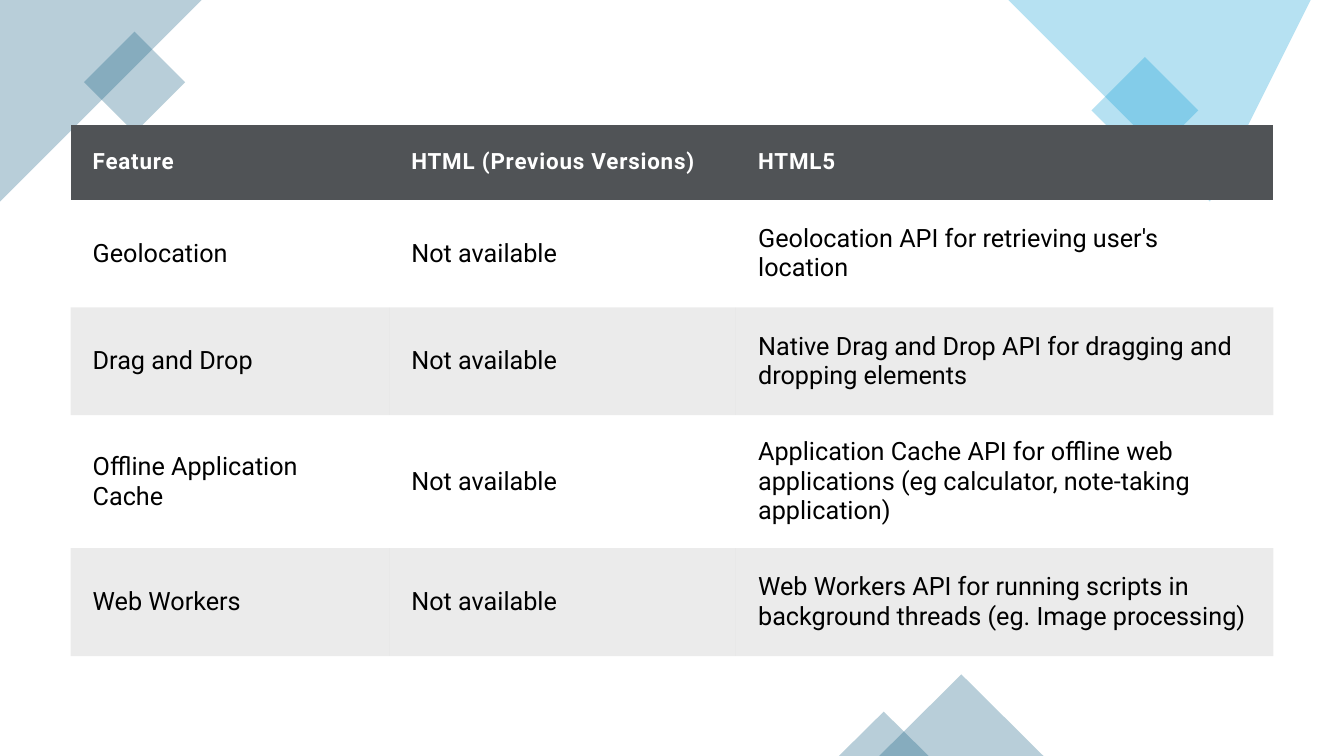
from lxml import etree
from pptx import Presentation
from pptx.dml.color import RGBColor
from pptx.enum.shapes import MSO_SHAPE
from pptx.enum.text import MSO_ANCHOR
from pptx.oxml.ns import qn
from pptx.util import Inches, Pt

RECTANGLE = MSO_SHAPE.RECTANGLE
TRIANGLE = MSO_SHAPE.ISOSCELES_TRIANGLE
MIDDLE = MSO_ANCHOR.MIDDLE
WIDTH, HEIGHT = 13.33, 7.5
NO_STYLE = "{2D5ABB26-0587-4C30-8999-92F81FD0307C}"
TEAL, SKY = "156082", "0F9ED5"
HEADER, WHITE, BLACK = "505356", "FFFFFF", "000000"
COLUMNS = [3.16, 3.44, 5.33]
HEADER_HEIGHT, ROW_HEIGHT, MARGIN = 0.74, 1.07, 0.22
ROWS = [
    ["Feature", "HTML (Previous Versions)", "HTML5"],
    ["Geolocation", "Not available", "Geolocation API for retrieving user's location"],
    ["Drag and Drop", "Not available",
     "Native Drag and Drop API for dragging and dropping elements"],
    ["Offline Application Cache", "Not available",
     "Application Cache API for offline web applications "
     "(eg calculator, note-taking application)"],
    ["Web Workers", "Not available",
     "Web Workers API for running scripts in background threads (eg. Image processing)"],
]


def color(value):
    return RGBColor.from_string(value)


def paint(fill, element, value, opacity):
    fill.solid()
    fill.fore_color.rgb = color(value)
    for tint in element.iter(qn("a:srgbClr")):
        etree.SubElement(tint, qn("a:alpha")).set("val", str(opacity * 1000))


def decorate(shape, value):
    shape.shadow.inherit = False
    shape.line.fill.background()
    paint(shape.fill, shape._element.spPr, value, 30)


def add_corner(page, points, value):
    builder = page.shapes.build_freeform(*points[0], scale=Inches(1))
    builder.add_line_segments(points[1:], close=True)
    decorate(builder.convert_to_shape(), value)


def add_preset(page, kind, left, top, width, height, value, rotation=0):
    shape = page.shapes.add_shape(
        kind, Inches(left), Inches(top), Inches(width), Inches(height))
    shape.rotation = rotation
    decorate(shape, value)


def add_diamond(page, left, top, side, value):
    add_preset(page, RECTANGLE, left, top, side, side, value, 315)


def add_peak(page, left, height, width, value):
    add_preset(page, TRIANGLE, left, HEIGHT - height, width, height, value)


def fill_cell(cell, text, row):
    if row == 0:
        paint(cell.fill, cell._tc, HEADER, 100)
    elif row % 2 == 0:
        paint(cell.fill, cell._tc, BLACK, 8)
    else:
        cell.fill.background()
    cell.vertical_anchor = MIDDLE
    cell.margin_left = cell.margin_right = Inches(MARGIN)
    cell.margin_top = cell.margin_bottom = Inches(MARGIN)
    cell.text = text
    span = cell.text_frame.paragraphs[0].runs[0]
    span.font.name = "Roboto"
    span.font.size = Pt(18 if row else 16)
    span.font.bold = row == 0
    span.font.color.rgb = color(BLACK if row else WHITE)
    if row == 0:
        span.font._element.set("spc", "60")


def add_feature_table(page):
    heights = [HEADER_HEIGHT] + [ROW_HEIGHT] * (len(ROWS) - 1)
    width = sum(COLUMNS)
    frame = page.shapes.add_table(
        len(ROWS), len(COLUMNS), Inches((WIDTH - width) / 2), Inches(1.24),
        Inches(width), Inches(sum(heights)))
    for style in frame._element.iter(qn("a:tableStyleId")):
        style.text = NO_STYLE
    table = frame.table
    table.first_row = table.horz_banding = False
    for column, size in zip(table.columns, COLUMNS):
        column.width = Inches(size)
    for index, texts in enumerate(ROWS):
        table.rows[index].height = Inches(heights[index])
        for cell, text in zip(table.rows[index].cells, texts):
            fill_cell(cell, text, index)


def main():
    deck = Presentation()
    deck.slide_width, deck.slide_height = Inches(WIDTH), Inches(HEIGHT)
    page = deck.slides.add_slide(deck.slide_layouts[6])
    add_corner(page, [(1.53, 0), (0, 0), (0, 1.3), (0.41, 1.71), (1.83, 0.3)], TEAL)
    add_diamond(page, 0.98, 0.46, 0.71, TEAL)
    add_diamond(page, 10.98, 0.72, 0.75, SKY)
    add_corner(page, [(WIDTH, 0), (10.23, 0), (11.93, 1.62), (WIDTH, 0.28)], SKY)
    add_peak(page, 8.72, 0.81, 1.63, TEAL)
    add_peak(page, 8.32, 0.44, 0.89, TEAL)
    add_feature_table(page)
    deck.save("out.pptx")


if __name__ == "__main__":
    main()
